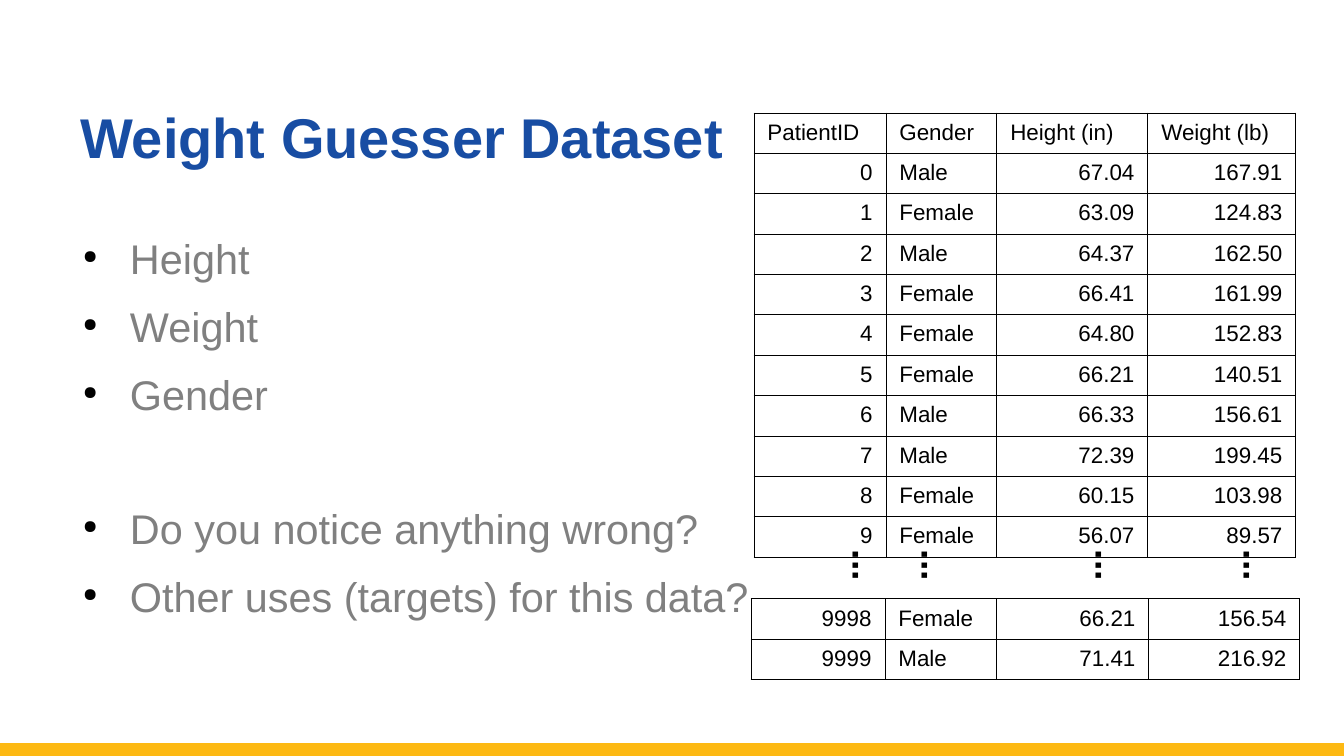
import pptx
import pptx.dml.color
import pptx.enum.shapes
import pptx.enum.text
import pptx.oxml
import pptx.oxml.ns
import pptx.util
from lxml import etree

PX = 914400 / 134.4
COLORS = {"title": "184DA3", "body": "808080", "ink": "000000", "stripe": "FDB913"}
ALIGN = pptx.enum.text.PP_ALIGN

TITLE = {"size": 30, "bold": True, "color": "title"}
BODY = {"size": 22.2, "color": "body"}
CELL = {"size": 12, "color": "ink"}
DOTS = {"size": 20, "bold": True, "color": "ink"}

BULLETS = ["Height", "Weight", "Gender",
           "Do you notice anything wrong?", "Other uses (targets) for this data?"]
SECOND_GROUP = 3
GROUP_SPACE, BULLET_SPACE = 49.7, 14.2

FIRST_ROWS = [
    ("PatientID", "Gender", "Height (in)", "Weight (lb)"),
    ("0", "Male", "67.04", "167.91"),
    ("1", "Female", "63.09", "124.83"),
    ("2", "Male", "64.37", "162.50"),
    ("3", "Female", "66.41", "161.99"),
    ("4", "Female", "64.80", "152.83"),
    ("5", "Female", "66.21", "140.51"),
    ("6", "Male", "66.33", "156.61"),
    ("7", "Male", "72.39", "199.45"),
    ("8", "Female", "60.15", "103.98"),
    ("9", "Female", "56.07", "89.57"),
]
LAST_ROWS = [
    ("9998", "Female", "66.21", "156.54"),
    ("9999", "Male", "71.41", "216.92"),
]
ROW_HEIGHT = 40


def px(value):
    return pptx.util.Emu(round(value * PX))


def rgb(name):
    return pptx.dml.color.RGBColor.from_string(COLORS[name])


def write(paragraph, text, style):
    run = paragraph.add_run()
    run.text = text
    values = {"name": "Arial", "size": pptx.util.Pt(style["size"]),
              "bold": style.get("bold", False)}
    for attribute, value in values.items():
        setattr(run.font, attribute, value)
    run.font.color.rgb = rgb(style["color"])


def add_text_box(slide, left, top, width, height, **frame_format):
    shape = slide.shapes.add_textbox(px(left), px(top), px(width), px(height))
    for attribute, value in {"word_wrap": True, **frame_format}.items():
        setattr(shape.text_frame, attribute, value)
    return shape


def add_stripe(slide):
    line = slide.shapes.add_connector(
        pptx.enum.shapes.MSO_CONNECTOR.STRAIGHT, px(0), px(750), px(1344), px(750))
    line.line.color.rgb = rgb("stripe")
    line.line.width = pptx.util.Pt(8)
    etree.SubElement(line._element.spPr, pptx.oxml.ns.qn("a:effectLst"))


def add_title(slide):
    shape = add_text_box(slide, 67, 0, 1210, 176,
                         vertical_anchor=pptx.enum.text.MSO_ANCHOR.BOTTOM)
    paragraph = shape.text_frame.paragraphs[0]
    paragraph.line_spacing = pptx.util.Pt(58)
    write(paragraph, "Weight Guesser Dataset", TITLE)


def set_bullet(paragraph):
    properties = paragraph._p.get_or_add_pPr()
    properties.set("marL", str(px(63)))
    properties.set("indent", str(px(-47)))
    namespace = pptx.oxml.ns.nsdecls("a")
    for xml in (
        f'<a:buClr {namespace}><a:srgbClr val="{COLORS["ink"]}"/></a:buClr>',
        f'<a:buSzPct {namespace} val="45000"/>',
        f'<a:buChar {namespace} char="●"/>',
    ):
        properties.append(pptx.oxml.parse_xml(xml))


def add_bullets(slide):
    frame = add_text_box(slide, 67, 177, 1210, 438, margin_left=0, margin_right=0,
                         margin_top=px(65), margin_bottom=0).text_frame
    for index, text in enumerate(BULLETS):
        paragraph = frame.add_paragraph() if index else frame.paragraphs[0]
        set_bullet(paragraph)
        paragraph.line_spacing = 0.83
        if index:
            space = GROUP_SPACE if index == SECOND_GROUP else BULLET_SPACE
            paragraph.space_before = pptx.util.Pt(space)
        write(paragraph, text, BODY)


def set_borders(cell):
    properties = cell._tc.get_or_add_tcPr()
    for side in ("lnL", "lnR", "lnT", "lnB"):
        properties.append(pptx.oxml.parse_xml(
            f'<a:{side} {pptx.oxml.ns.nsdecls("a")} w="{pptx.util.Pt(0.57)}"><a:solidFill>'
            f'<a:srgbClr val="{COLORS["ink"]}"/></a:solidFill></a:{side}>'))


def add_patient_table(slide, left, top, widths, rows, has_header):
    table = slide.shapes.add_table(
        len(rows), len(widths), px(left), px(top),
        px(sum(widths)), px(ROW_HEIGHT * len(rows))).table
    table.first_row = table.horz_banding = False
    for column, width in zip(table.columns, widths):
        column.width = px(width)
    for row_index, row in enumerate(rows):
        table.rows[row_index].height = px(ROW_HEIGHT)
        is_header = has_header and row_index == 0
        for column_index, text in enumerate(row):
            cell = table.cell(row_index, column_index)
            set_borders(cell)
            cell.fill.background()
            paragraph = cell.text_frame.paragraphs[0]
            is_left = is_header or column_index == 1
            paragraph.alignment = ALIGN.LEFT if is_left else ALIGN.RIGHT
            write(paragraph, text, CELL)


def add_vertical_dots(slide, left):
    shape = add_text_box(slide, left, 538, 58, 55, word_wrap=False,
                         auto_size=pptx.enum.text.MSO_AUTO_SIZE.SHAPE_TO_FIT_TEXT)
    shape.rotation = 90.2
    write(shape.text_frame.paragraphs[0], "...", DOTS)


def main():
    presentation = pptx.Presentation()
    presentation.slide_width, presentation.slide_height = px(1344), px(756)
    slide = presentation.slides.add_slide(presentation.slide_layouts[6])
    add_stripe(slide)
    add_title(slide)
    add_bullets(slide)
    add_patient_table(slide, 754, 113, (132, 111, 151, 148), FIRST_ROWS, True)
    add_patient_table(slide, 751, 599, (134, 112, 152, 151), LAST_ROWS, False)
    for left in (840, 909, 1083, 1231):
        add_vertical_dots(slide, left)
    presentation.save("out.pptx")


if __name__ == "__main__":
    main()
